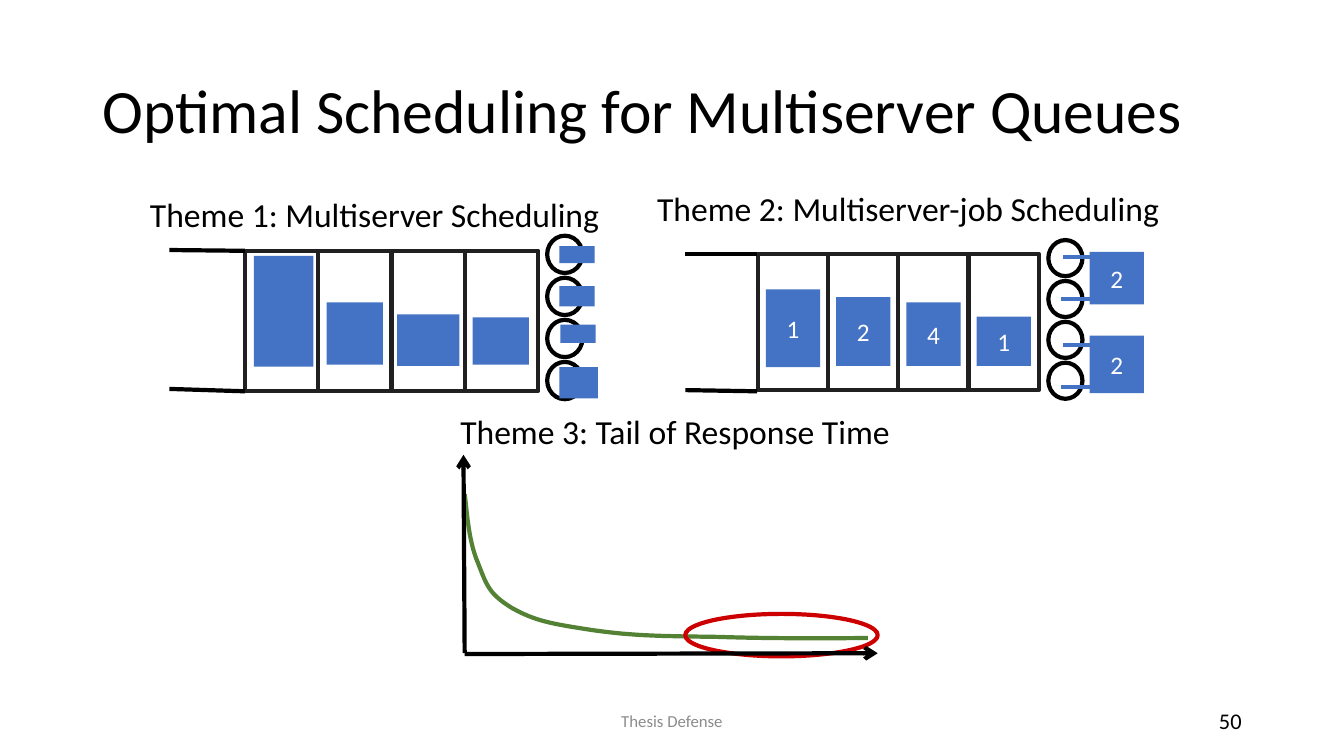
from pptx import Presentation
from pptx.dml.color import RGBColor
from pptx.enum.shapes import MSO_CONNECTOR as CONN, MSO_SHAPE as SHAPE
from pptx.enum.text import MSO_ANCHOR as ANCHOR, PP_ALIGN as ALIGN
from pptx.oxml.ns import qn
from pptx.util import Cm, Pt
from lxml.etree import SubElement

COLORS = {
    "black": "000000", "cell": "202020", "white": "FFFFFF", "job": "4472C4",
    "footer": "8C8C8C", "curve": "548235", "tail": "CC0000",
}
LINE_WIDTH = 3

# Lengths are in centimetres; jobs and served are (left, top, width, height, label)
QUEUE_1 = {
    "cells": (6.17, 6.32, 1.85, 3.53), "cell_fill": "white",
    "servers": (13.79, 5.94, 0.89, 0.94), "server_step": 1.06,
    "leads": [(4.27, 6.3, 6.17, 6.32), (4.27, 9.8, 6.17, 9.86)],
    "jobs": [(6.4, 6.45, 1.5, 2.79, ""), (8.23, 7.62, 1.42, 1.57, ""),
             (10.01, 7.92, 1.57, 1.3, ""), (11.91, 8, 1.42, 1.19, "")],
    "links": [],
    "served": [(14.1, 6.2, 0.89, 0.43, ""), (14.1, 7.21, 0.89, 0.51, ""),
               (14.12, 8.18, 0.89, 0.46, ""), (14.1, 9.25, 0.97, 0.79, "")],
}
QUEUE_2 = {
    "cells": (19.1, 6.4, 1.77, 3.43), "cell_fill": None,
    "servers": (26.42, 6.05, 0.86, 0.91), "server_step": 1.03,
    "leads": [(17.27, 6.4, 19.08, 6.4), (17.27, 9.83, 19.08, 9.86)],
    "jobs": [(19.3 + 1.77 * i, top, 1.37, height, label)
             for i, (top, height, label) in enumerate(
                 [(7.29, 1.96, "1"), (7.49, 1.73, "2"),
                  (7.62, 1.6, "4"), (7.98, 1.24, "1")])],
    "links": [(26.8, 6.48, 27.53, 6.48), (26.75, 7.54, 27.71, 7.54),
              (26.8, 8.69, 27.53, 8.69), (26.75, 9.75, 27.71, 9.75)],
    "served": [(27.46, 6.35, 1.37, 1.32, "2"), (27.46, 8.46, 1.37, 1.45, "2")],
}
CURVE_START = (11.71, 12.45)
CURVE_BENDS = [
    ((11.76, 12.75), (11.79, 13.59), (12.04, 14.17)),
    ((12.27, 14.76), (12.32, 14.96), (12.9, 15.32)),
    ((13.49, 15.65), (13.89, 15.72), (14.94, 15.88)),
    ((15.98, 16.03), (16.71, 16.03), (18.11, 16.05)),
    ((19.51, 16.1), (21.18, 16.08), (21.87, 16.08)),
]


def rgb(name):
    return RGBColor.from_string(COLORS[name])


def write(sp, text, size, color="black", align=ALIGN.LEFT, **frame):
    tf = sp.text_frame
    for name, value in {"word_wrap": True, **frame}.items():
        setattr(tf, name, value)
    p = tf.paragraphs[0]
    p.alignment = align
    r = p.add_run()
    r.text = text
    for name, value in {"name": "Calibri", "size": Pt(size)}.items():
        setattr(r.font, name, value)
    r.font.color.rgb = rgb(color)
    return p


def add_text(s, box, text, size, **style):
    return write(s.shapes.add_textbox(*map(Cm, box)), text, size, **style)


def paint(sp, fill=None, line=None):
    sp.shadow.inherit = False
    if fill:
        sp.fill.solid()
        sp.fill.fore_color.rgb = rgb(fill)
    else:
        sp.fill.background()
    if line:
        sp.line.color.rgb = rgb(line)
        sp.line.width = Pt(LINE_WIDTH)
    else:
        sp.line.fill.background()


def add_shape(s, kind, box, fill=None, line=None):
    sp = s.shapes.add_shape(kind, *map(Cm, box))
    paint(sp, fill, line)
    return sp


def add_line(s, ends, color="black", arrow=False):
    sp = s.shapes.add_connector(CONN.STRAIGHT, *map(Cm, ends))
    sp.line.color.rgb = rgb(color)
    sp.line.width = Pt(LINE_WIDTH)
    if arrow:
        SubElement(sp.line._get_or_add_ln(), qn("a:tailEnd"), type="arrow")
    SubElement(sp._element.spPr, qn("a:effectLst"))


def add_job(s, left, top, width, height, label):
    sp = add_shape(s, SHAPE.RECTANGLE, (left, top, width, height), fill="job")
    if label:
        write(sp, label, 18, color="white", align=ALIGN.CENTER,
              vertical_anchor=ANCHOR.MIDDLE)


def add_queue(s, queue):
    # Servers
    left, top, width, height = queue["servers"]
    for i in range(4):
        add_shape(s, SHAPE.OVAL, (left, top + i * queue["server_step"], width, height),
                  fill="white", line="black")
    # Waiting room
    left, top, width, height = queue["cells"]
    for i in range(4):
        add_shape(s, SHAPE.RECTANGLE, (left + i * width, top, width, height),
                  fill=queue["cell_fill"], line="cell")
    for ends in queue["leads"]:
        add_line(s, ends)
    # Jobs waiting and in service
    for job in queue["jobs"]:
        add_job(s, *job)
    for ends in queue["links"]:
        add_line(s, ends, "job")
    for job in queue["served"]:
        add_job(s, *job)


def bezier(ends, t):
    weights = ((1 - t) ** 3, 3 * t * (1 - t) ** 2, 3 * t * t * (1 - t), t ** 3)
    return tuple(Cm(sum(w * v for w, v in zip(weights, axis))) for axis in zip(*ends))


def add_curve(s, start, bends, steps=16):
    points, here = [], start
    for bend in bends:
        points += [bezier((here, *bend), i / steps) for i in range(1, steps + 1)]
        here = bend[-1]
    builder = s.shapes.build_freeform(*map(Cm, start))
    builder.add_line_segments(points, close=False)
    paint(builder.convert_to_shape(), line="curve")


def main():
    prs = Presentation()
    prs.slide_width, prs.slide_height = Cm(33.87), Cm(19.05)
    s = prs.slides.add_slide(prs.slide_layouts[6])

    # Title and footer
    middle = {"vertical_anchor": ANCHOR.MIDDLE}
    title = add_text(s, (2.33, 1.01, 29.21, 3.68),
                     "Optimal Scheduling for Multiserver Queues", 44, **middle)
    title.line_spacing = 0.9
    add_text(s, (11.22, 17.66, 11.43, 1.01), "Thesis Defense", 12,
             color="footer", align=ALIGN.CENTER, **middle)
    add_text(s, (23.92, 17.66, 7.62, 1.01), "50", 16, align=ALIGN.RIGHT, **middle)

    # Themes 1 and 2
    add_queue(s, QUEUE_1)
    add_text(s, (3.53, 4.75, 11.84, 1.27), "Theme 1: Multiserver Scheduling", 24)
    add_queue(s, QUEUE_2)
    add_text(s, (16.31, 4.6, 13.36, 1.27), "Theme 2: Multiserver-job Scheduling", 24)

    # Theme 3: tail curve with axes
    add_curve(s, CURVE_START, CURVE_BENDS)
    add_shape(s, SHAPE.OVAL, (17.27, 15.47, 4.85, 1.07), line="tail")
    add_text(s, (11.35, 10.24, 13.64, 1.27), "Theme 3: Tail of Response Time", 24)
    add_line(s, (11.71, 16.46, 11.68, 11.46), arrow=True)
    add_line(s, (11.71, 16.48, 22.12, 16.46), arrow=True)

    prs.save("out.pptx")


if __name__ == "__main__":
    main()
